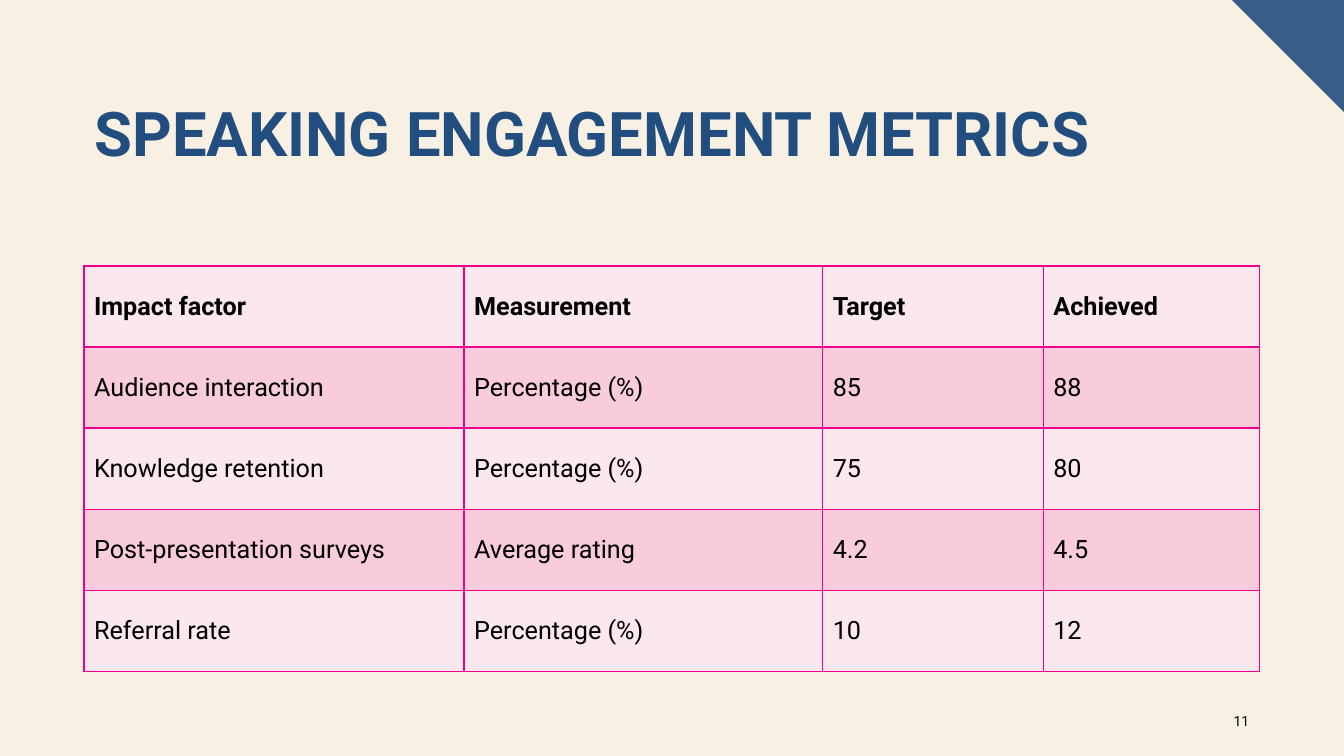
from lxml.etree import SubElement
from pptx import Presentation
from pptx.dml.color import RGBColor
from pptx.enum.text import MSO_ANCHOR as Anchor, PP_ALIGN as Align
from pptx.oxml.ns import qn
from pptx.util import Pt

WIDTH, HEIGHT = 960, 540
COLORS = {
    "background": "F8F0E3",
    "corner": "385E88",
    "title": "224E7F",
    "text": "000000",
    "border": "EC008C",
    "light_row": "FBE7EE",
    "dark_row": "F8CCDA",
}
METRICS = [
    ("Impact factor", "Measurement", "Target", "Achieved"),
    ("Audience interaction", "Percentage (%)", "85", "88"),
    ("Knowledge retention", "Percentage (%)", "75", "80"),
    ("Post-presentation surveys", "Average rating", "4.2", "4.5"),
    ("Referral rate", "Percentage (%)", "10", "12"),
]
COLUMN_WIDTHS = [271.5, 256.25, 157.5, 154.5]
ROW_HEIGHT = 57.9


def write_text(frame, text, size=18, color="text", bold=False,
               align=Align.LEFT, line_spacing=None):
    paragraph = frame.paragraphs[0]
    paragraph.alignment = align
    paragraph.line_spacing = line_spacing
    run = paragraph.add_run()
    run.text = text
    run.font.name = "Roboto"
    run.font.size = Pt(size)
    run.font.bold = bold
    run.font.color.rgb = RGBColor.from_string(COLORS[color])


def fill_solid(fill, color):
    fill.solid()
    fill.fore_color.rgb = RGBColor.from_string(COLORS[color])


def set_borders(cell, color, width=1):
    """Outline a cell; the lines must come before its fill in the XML."""
    properties = cell._tc.get_or_add_tcPr()
    for position, side in enumerate(("lnL", "lnR", "lnT", "lnB")):
        line = SubElement(properties, qn(f"a:{side}"), w=str(Pt(width)))
        solid = SubElement(line, qn("a:solidFill"))
        SubElement(solid, qn("a:srgbClr"), val=COLORS[color])
        properties.insert(position, line)


class SlideBuilder:
    """Adds styled elements to one slide, with lengths in points."""

    def __init__(self, slide):
        self.slide = slide
        fill_solid(slide.background.fill, "background")

    def polygon(self, points, color):
        start, *others = points
        builder = self.slide.shapes.build_freeform(*start, scale=Pt(1))
        builder.add_line_segments(others, close=True)
        shape = builder.convert_to_shape()
        shape.shadow.inherit = False
        shape.line.fill.background()
        fill_solid(shape.fill, color)

    def text_box(self, text, left, top, width, height, anchor=Anchor.TOP, **style):
        box = self.slide.shapes.add_textbox(Pt(left), Pt(top), Pt(width), Pt(height))
        box.text_frame.word_wrap = True
        box.text_frame.vertical_anchor = anchor
        write_text(box.text_frame, text, **style)

    def table(self, rows, left, top, column_widths, row_height):
        table = self.slide.shapes.add_table(
            len(rows), len(column_widths), Pt(left), Pt(top),
            Pt(sum(column_widths)), Pt(row_height * len(rows))).table
        for column, width in zip(table.columns, column_widths):
            column.width = Pt(width)
        for row_index, values in enumerate(rows):
            table.rows[row_index].height = Pt(row_height)
            for column_index, value in enumerate(values):
                cell = table.cell(row_index, column_index)
                cell.vertical_anchor = Anchor.MIDDLE
                fill_solid(cell.fill, "dark_row" if row_index % 2 else "light_row")
                set_borders(cell, "border")
                write_text(cell.text_frame, value, bold=row_index == 0)


def main():
    presentation = Presentation()
    presentation.slide_width, presentation.slide_height = Pt(WIDTH), Pt(HEIGHT)
    builder = SlideBuilder(presentation.slides.add_slide(presentation.slide_layouts[6]))

    corner = 80
    builder.polygon([(WIDTH - corner, 0), (WIDTH, 0), (WIDTH, corner)], "corner")
    builder.text_box("SPEAKING ENGAGEMENT METRICS", 60.5, 70.5, 839.5, 104.5,
                     size=44, color="title", bold=True, line_spacing=0.9)
    builder.table(METRICS, 60, 190, COLUMN_WIDTHS, ROW_HEIGHT)
    builder.text_box("11", 863.5, 500.5, 36, 29, anchor=Anchor.MIDDLE,
                     size=10, align=Align.RIGHT)
    presentation.save("out.pptx")


if __name__ == "__main__":
    main()
